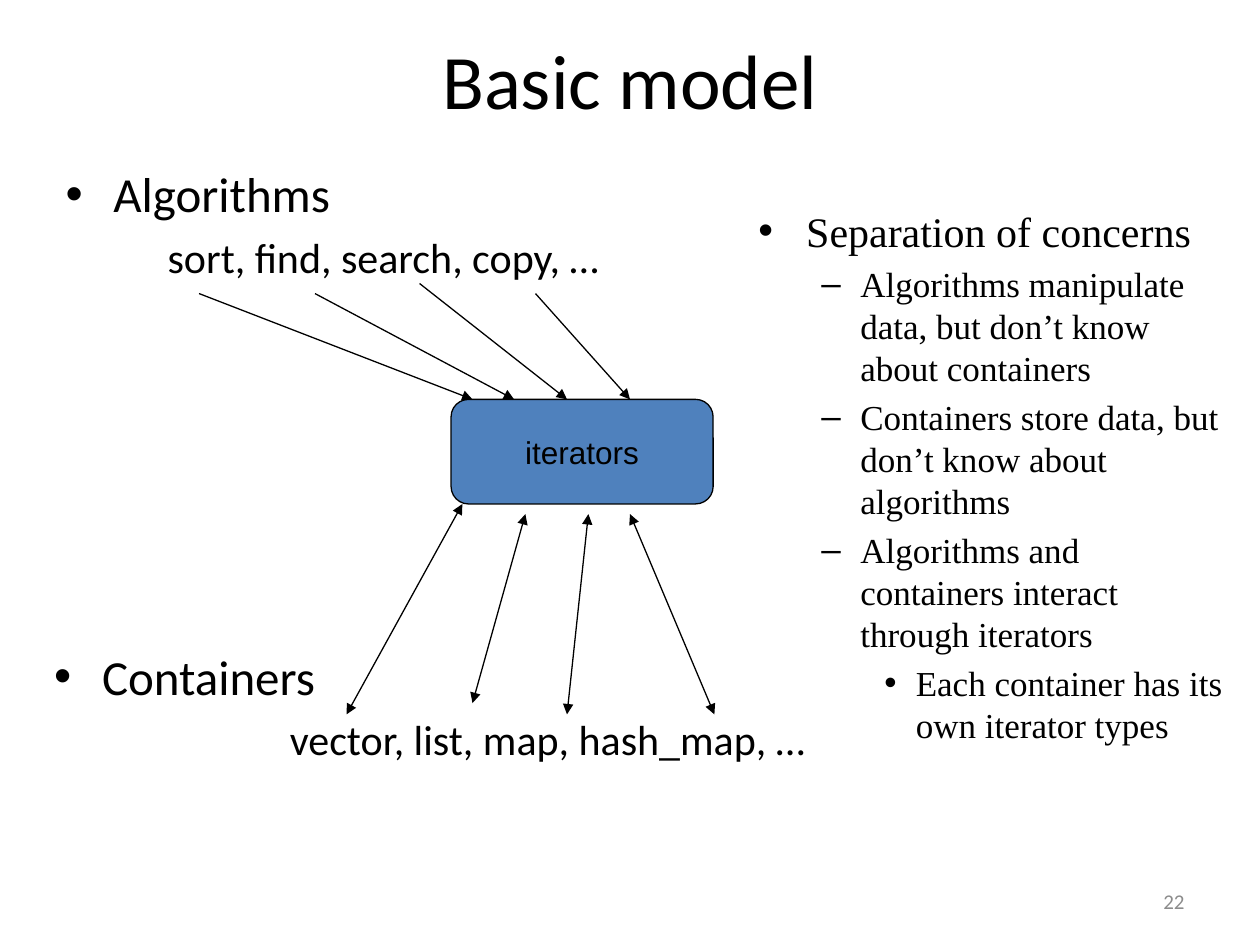
"""Build the slide showing iterators between algorithms and containers."""
from lxml.etree import SubElement
from pptx import Presentation
from pptx.dml.color import RGBColor
from pptx.enum.shapes import MSO_CONNECTOR as Connector, MSO_SHAPE as Shape
from pptx.enum.text import MSO_ANCHOR as Anchor, MSO_AUTO_SIZE as AutoSize, PP_ALIGN as Align
from pptx.oxml.ns import qn
from pptx.util import Inches, Pt

BLACK = RGBColor(0x00, 0x00, 0x00)
GRAY = RGBColor(0x8C, 0x8C, 0x8C)
BLUE = RGBColor(0x4F, 0x81, 0xBD)


def write(paragraph, text, size=18, font="Calibri", color=BLACK, align=Align.LEFT,
          level=0, margin=0, hanging=0, bullet=None, before=0):
    paragraph.alignment = align
    paragraph.level = level
    paragraph.space_before = Pt(size * before)
    run = paragraph.add_run()
    run.text = text
    run.font.size = Pt(size)
    run.font.name = font
    run.font.color.rgb = color
    properties = paragraph._p.get_or_add_pPr()
    properties.set("marL", str(Inches(margin)))
    properties.set("indent", str(-Inches(hanging)))
    if bullet:
        SubElement(properties, qn("a:buFont"), typeface="Arial")
        SubElement(properties, qn("a:buChar"), char=bullet)
    else:
        SubElement(properties, qn("a:buNone"))


class SlideBuilder:
    def __init__(self, slide, line_color=BLACK, line_width=0.75):
        self.slide = slide
        self.line_color = line_color
        self.line_width = Pt(line_width)

    def fill_text(self, holder, paragraphs, anchor=Anchor.TOP, wrap=True):
        frame = holder.text_frame
        frame.word_wrap = wrap
        frame.auto_size = AutoSize.NONE
        frame.vertical_anchor = anchor
        for index, (text, style) in enumerate(paragraphs):
            paragraph = frame.add_paragraph() if index else frame.paragraphs[0]
            write(paragraph, text, **style)

    def placeholder(self, index, box, paragraphs, **frame_style):
        holder = self.slide.placeholders[index]
        holder.left, holder.top, holder.width, holder.height = map(Inches, box)
        self.fill_text(holder, paragraphs, **frame_style)

    def text_box(self, box, paragraphs, **frame_style):
        holder = self.slide.shapes.add_textbox(*map(Inches, box))
        self.fill_text(holder, paragraphs, **frame_style)

    def rounded_box(self, box, paragraphs, fill):
        rounded = self.slide.shapes.add_shape(Shape.ROUNDED_RECTANGLE, *map(Inches, box))
        rounded.shadow.inherit = False
        rounded.fill.solid()
        rounded.fill.fore_color.rgb = fill
        rounded.line.color.rgb = self.line_color
        rounded.line.width = self.line_width
        self.fill_text(rounded, paragraphs, anchor=Anchor.MIDDLE, wrap=False)

    def arrow(self, start, end, both_ends=False):
        connector = self.slide.shapes.add_connector(
            Connector.STRAIGHT, *map(Inches, (*start, *end)))
        connector.line.color.rgb = self.line_color
        connector.line.width = self.line_width
        outline = connector.line._get_or_add_ln()
        if both_ends:
            SubElement(outline, qn("a:headEnd"), type="triangle")
        SubElement(outline, qn("a:tailEnd"), type="triangle")
        SubElement(connector._element.spPr, qn("a:effectLst"))


def main():
    deck = Presentation()
    deck.slide_width, deck.slide_height = Inches(10), Inches(7.5)
    builder = SlideBuilder(deck.slides.add_slide(deck.slide_layouts[3]))

    heading = dict(size=28, margin=0.38, hanging=0.38, bullet="•", before=0.2)
    examples = dict(size=24, level=1, margin=0.81, before=0.2)
    builder.placeholder(0, (0.5, 0, 9, 1.25),
                        [("Basic model", dict(size=44, align=Align.CENTER))],
                        anchor=Anchor.MIDDLE)
    builder.placeholder(1, (0.42, 1.25, 9, 1.5), [
        ("Algorithms", heading),
        ("sort, find, search, copy, …", examples)])
    builder.placeholder(2, (0.33, 5.08, 9, 1.28), [
        ("Containers", heading),
        ("vector, list, map, hash_map, …", {**examples, "margin": 1.87})])
    builder.text_box((7.17, 6.95, 2.33, 0.4),
                     [("22", dict(size=12, color=GRAY, align=Align.RIGHT))],
                     anchor=Anchor.MIDDLE)

    builder.rounded_box((3.58, 3.17, 2.08, 0.83),
                        [("iterators", dict(font="Arial", align=Align.CENTER))], BLUE)
    for start, end_x in (((1.58, 2.33), 3.75), ((2.5, 2.33), 4.08),
                         ((3.33, 2.25), 4.5), ((4.25, 2.33), 5)):
        builder.arrow(start, (end_x, 3.17))

    serif = dict(font="Times New Roman", before=0.2)
    concern = dict(serif, size=20, level=1, margin=0.81, hanging=0.31, bullet="–")
    builder.text_box((5.92, 1.58, 3.92, 5.17), [
        ("Separation of concerns", {**heading, **serif, "size": 24}),
        ("Algorithms manipulate data, but don’t know about containers", concern),
        ("Containers store data, but don’t know about algorithms", concern),
        ("Algorithms and containers interact through iterators", concern),
        ("Each container has its own iterator types",
         dict(serif, size=20, level=2, margin=1.25, hanging=0.25, bullet="•"))])

    for container, iterator in (((5.67, 5.67), (5, 4.08)), ((4.5, 5.67), (4.67, 4.08)),
                                ((3.75, 5.58), (4.17, 4.08)), ((2.75, 5.67), (3.67, 4))):
        builder.arrow(container, iterator, both_ends=True)

    deck.save("out.pptx")


if __name__ == "__main__":
    main()
